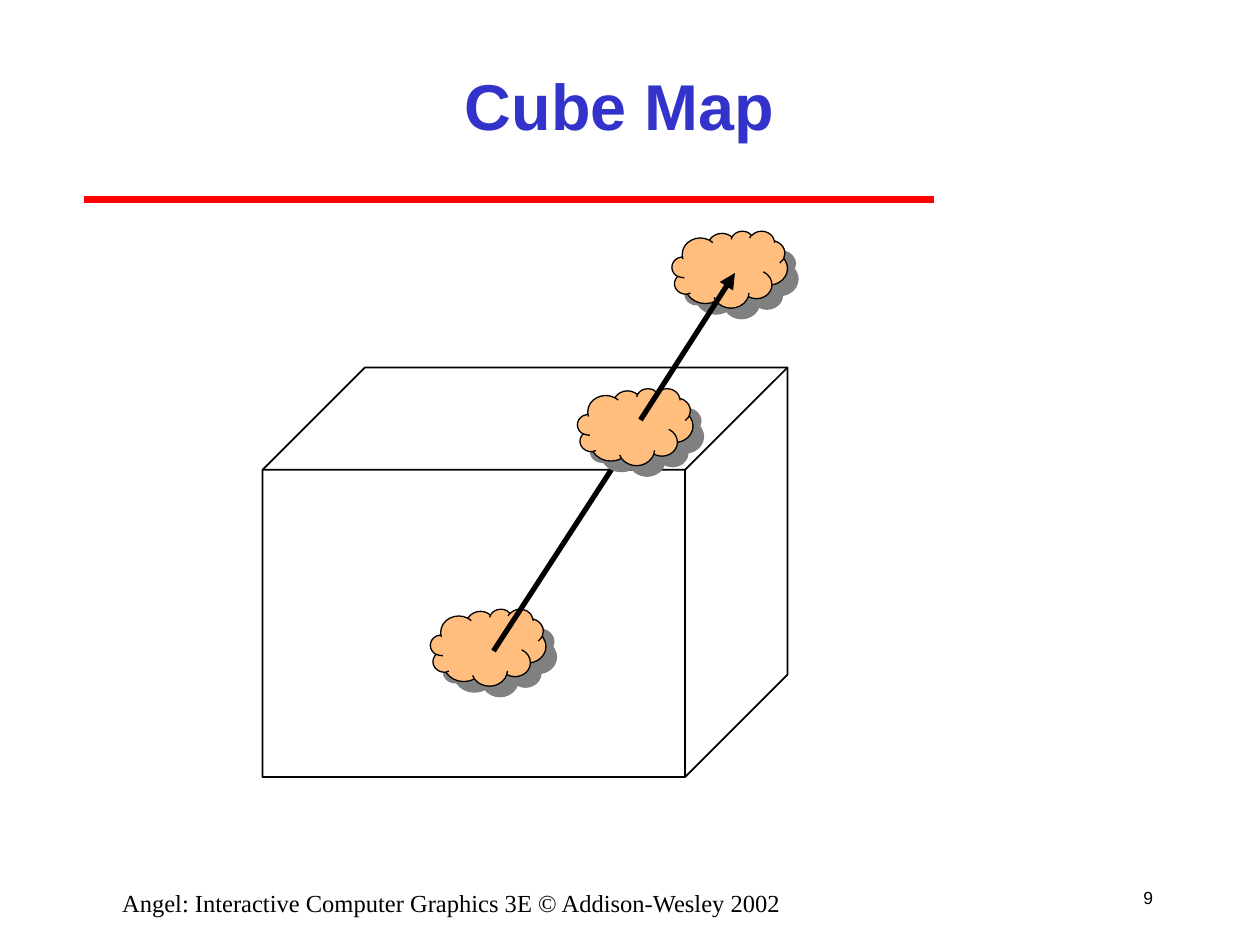
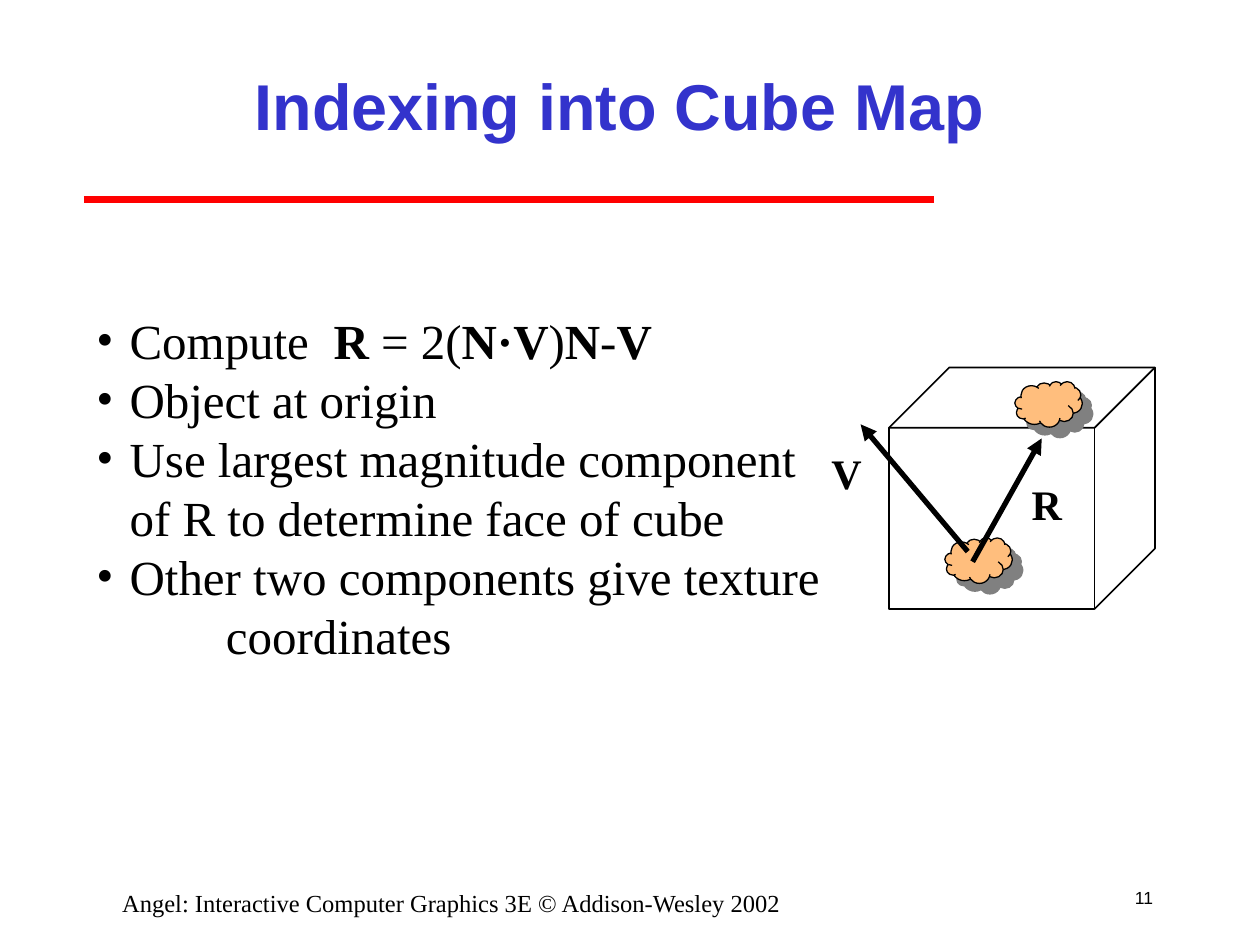
from dataclasses import dataclass

from lxml import etree
from pptx import Presentation
from pptx.dml.color import RGBColor
from pptx.enum import shapes, text
from pptx.oxml import ns
from pptx.util import Pt


@dataclass(frozen=True)
class Theme:
    ink: str = "000000"
    title_color: str = "3333CC"
    rule_color: str = "FF0000"
    cloud_fill: str = "FFBE7D"
    cloud_shadow: str = "808080"
    sans: str = "Arial"
    serif: str = "Times New Roman"
    title_size: float = 37
    body_size: float = 28
    label_size: float = 24
    footer_size: float = 14
    number_size: float = 10
    body_leading: float = 33.7


THEME = Theme()
ALIGN = text.PP_ALIGN
ANCHOR = text.MSO_ANCHOR
FOOTER = "Angel: Interactive Computer Graphics 3E © Addison-Wesley 2002"


def rgb(color):
    return RGBColor.from_string(color)


def sub(parent, tag, **attributes):
    return etree.SubElement(parent, ns.qn(tag), attributes)


# Text helpers
def add_run(paragraph, words, size, font=THEME.serif, color=THEME.ink, bold=False):
    run = paragraph.add_run()
    run.text = words
    run.font.size = Pt(size)
    run.font.name = font
    run.font.bold = bold
    run.font.color.rgb = rgb(color)


def add_text(slide, box, words, size, align=ALIGN.LEFT, anchor=ANCHOR.TOP,
             wrap=True, **style):
    frame = slide.shapes.add_textbox(*map(Pt, box)).text_frame
    frame.word_wrap = wrap
    frame.vertical_anchor = anchor
    frame.paragraphs[0].alignment = align
    add_run(frame.paragraphs[0], words, size, **style)


# Drawing helpers
def add_line(canvas, start, end, color, width, arrow=False):
    line = canvas.add_connector(shapes.MSO_CONNECTOR.STRAIGHT,
                                *map(Pt, (*start, *end)))
    line.line.color.rgb = rgb(color)
    line.line.width = Pt(width)
    if arrow:
        sub(line.line._get_or_add_ln(), "a:tailEnd", type="triangle")
    sub(line._element.spPr, "a:effectLst")


def add_cloud(canvas, box):
    cloud = canvas.add_shape(shapes.MSO_SHAPE.CLOUD, *map(Pt, box))
    cloud.fill.solid()
    cloud.fill.fore_color.rgb = rgb(THEME.cloud_fill)
    cloud.line.color.rgb = rgb(THEME.ink)
    cloud.line.width = Pt(0.75)
    cloud.shadow.inherit = False
    effects = cloud._element.spPr.find(ns.qn("a:effectLst"))
    shadow = sub(effects, "a:outerShdw", dist=str(Pt(8.5)), dir=str(45 * 60000),
                 algn="ctr", rotWithShape="0")
    sub(shadow, "a:srgbClr", val=THEME.cloud_shadow)


def add_cube(canvas, box):
    cube = canvas.add_shape(shapes.MSO_SHAPE.CUBE, *map(Pt, box))
    cube.adjustments[0] = 0.25
    cube.fill.background()
    cube.line.color.rgb = rgb(THEME.ink)
    cube.line.width = Pt(1)
    cube.shadow.inherit = False


def cube_scene(canvas, box, cloud_size, back, front):
    """Draw clouds (points) and rays (point pairs) behind and before the cube."""
    left, top = box[:2]

    def place(point):
        return left + point[0], top + point[1]

    def draw(clouds, rays):
        for corner in clouds:
            add_cloud(canvas, (*place(corner), *cloud_size))
        for start, end in rays:
            add_line(canvas, place(start), place(end), THEME.ink, 3, arrow=True)

    draw(*back)
    add_cube(canvas, box)
    draw(*front)


# Shared frame: title, red rule, footer and slide number
def framed_slide(deck, heading, number):
    slide = deck.slides.add_slide(deck.slide_layouts[5])
    add_line(slide.shapes, (48, 114), (534, 114), THEME.rule_color, 4)
    add_text(slide, (636, 498, 30, 30), number, THEME.number_size,
             ALIGN.RIGHT, ANCHOR.MIDDLE, wrap=False, font=THEME.sans)
    add_text(slide, (36, 504, 444, 18), FOOTER, THEME.footer_size, ALIGN.CENTER)

    title = slide.shapes.title
    title.left, title.top, title.width, title.height = map(Pt, (108, 18, 492, 84))
    title.text_frame.vertical_anchor = ANCHOR.MIDDLE
    paragraph = title.text_frame.paragraphs[0]
    paragraph.alignment = ALIGN.CENTER
    add_run(paragraph, heading, THEME.title_size, THEME.sans,
            THEME.title_color, bold=True)
    return slide


# Bulleted steps: each step is a list of (words, bold); "\n" breaks a line
def step_list(slide, box, steps):
    frame = slide.shapes.add_textbox(*map(Pt, box)).text_frame
    frame.word_wrap = True
    for index, step in enumerate(steps):
        paragraph = frame.add_paragraph() if index else frame.paragraphs[0]
        properties = paragraph._p.get_or_add_pPr()
        properties.set("marL", str(Pt(19)))
        properties.set("indent", str(-Pt(19)))
        sub(properties, "a:buFont", typeface=THEME.serif)
        sub(properties, "a:buChar", char="•")
        sub(sub(properties, "a:tabLst"), "a:tab", pos=str(Pt(74)), algn="l")
        paragraph.line_spacing = Pt(THEME.body_leading)
        for words, bold in step:
            for row, line in enumerate(words.split("\n")):
                if row:
                    paragraph.add_line_break()
                add_run(paragraph, line, THEME.body_size, bold=bold)


def cube_map_slide(deck):
    slide = framed_slide(deck, "Cube Map", "9")
    cube_scene(slide.shapes, (150, 210, 300, 234), (66, 44),
               back=([(96, 138), (234, -78)], [((132, 162), (210, 42))]),
               front=([(180, 12)], [((216, 30), (270, -54))]))


def indexing_slide(deck):
    slide = framed_slide(deck, "Indexing into Cube Map", "11")
    cube_scene(slide.shapes.add_group_shape().shapes,
               (508, 210, 152, 138), (38.5, 26),
               back=([(32, 97.3)], [((47.8, 111), (87.3, 40.5))]),
               front=([(72, 8)], [((45, 105.2), (-16.2, 32.5))]))
    for vector, left, top in (("V", 468, 252), ("R", 582.5, 270)):
        add_text(slide, (left, top, 31.7, 36), vector, THEME.label_size,
                 wrap=False, bold=True)
    step_list(slide, (48, 174, 444, 209), [
        [("Compute  ", False), ("R", True), (" = 2(", False), ("N·V", True),
         (")", False), ("N", True), ("-", False), ("V", True)],
        [("Object at origin", False)],
        [("Use largest magnitude component\nof R to determine face of cube", False)],
        [("Other two components give texture\n\tcoordinates", False)],
    ])


def main():
    deck = Presentation()
    deck.slide_width, deck.slide_height = Pt(720), Pt(540)
    cube_map_slide(deck)
    indexing_slide(deck)
    deck.save("out.pptx")


if __name__ == "__main__":
    main()
